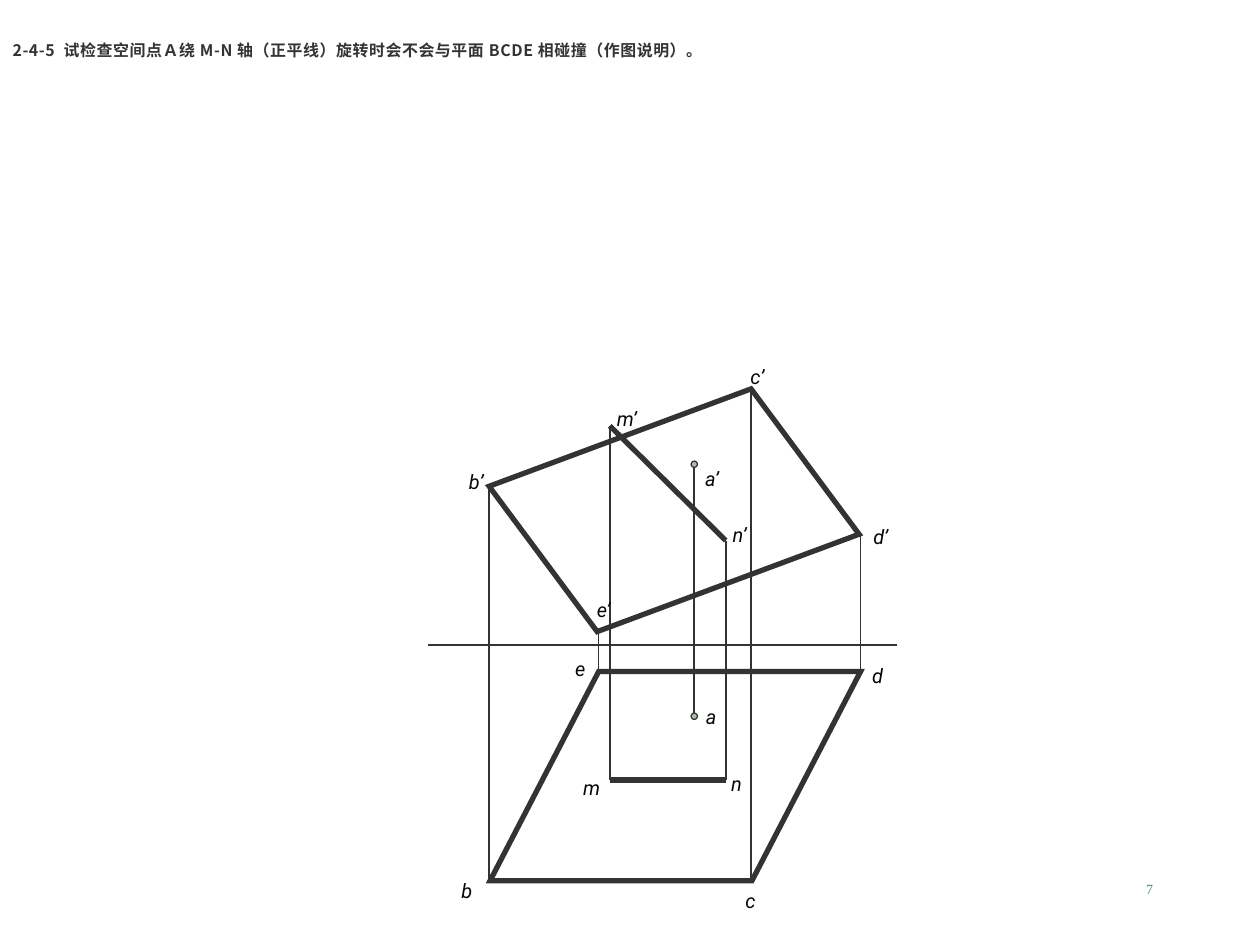
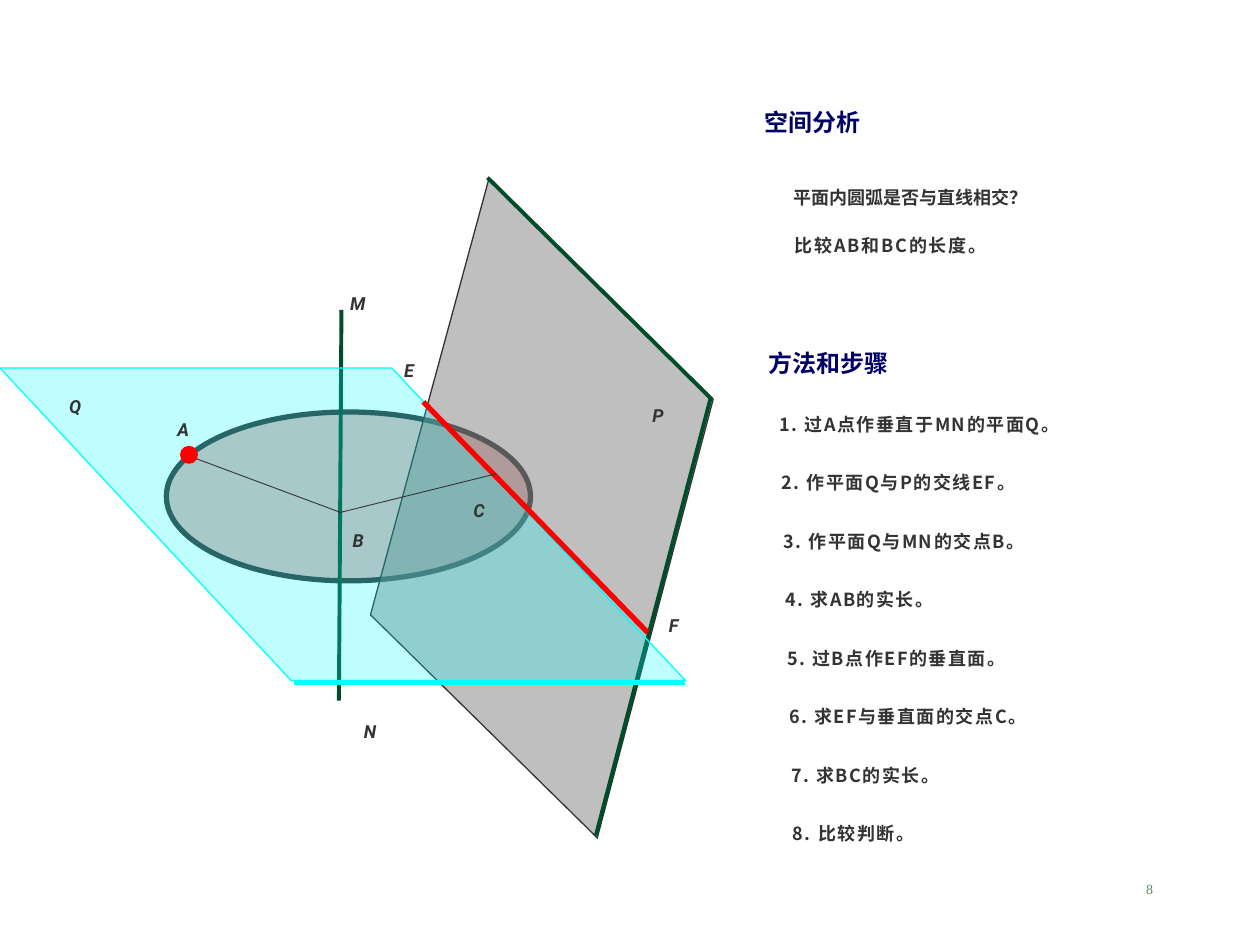
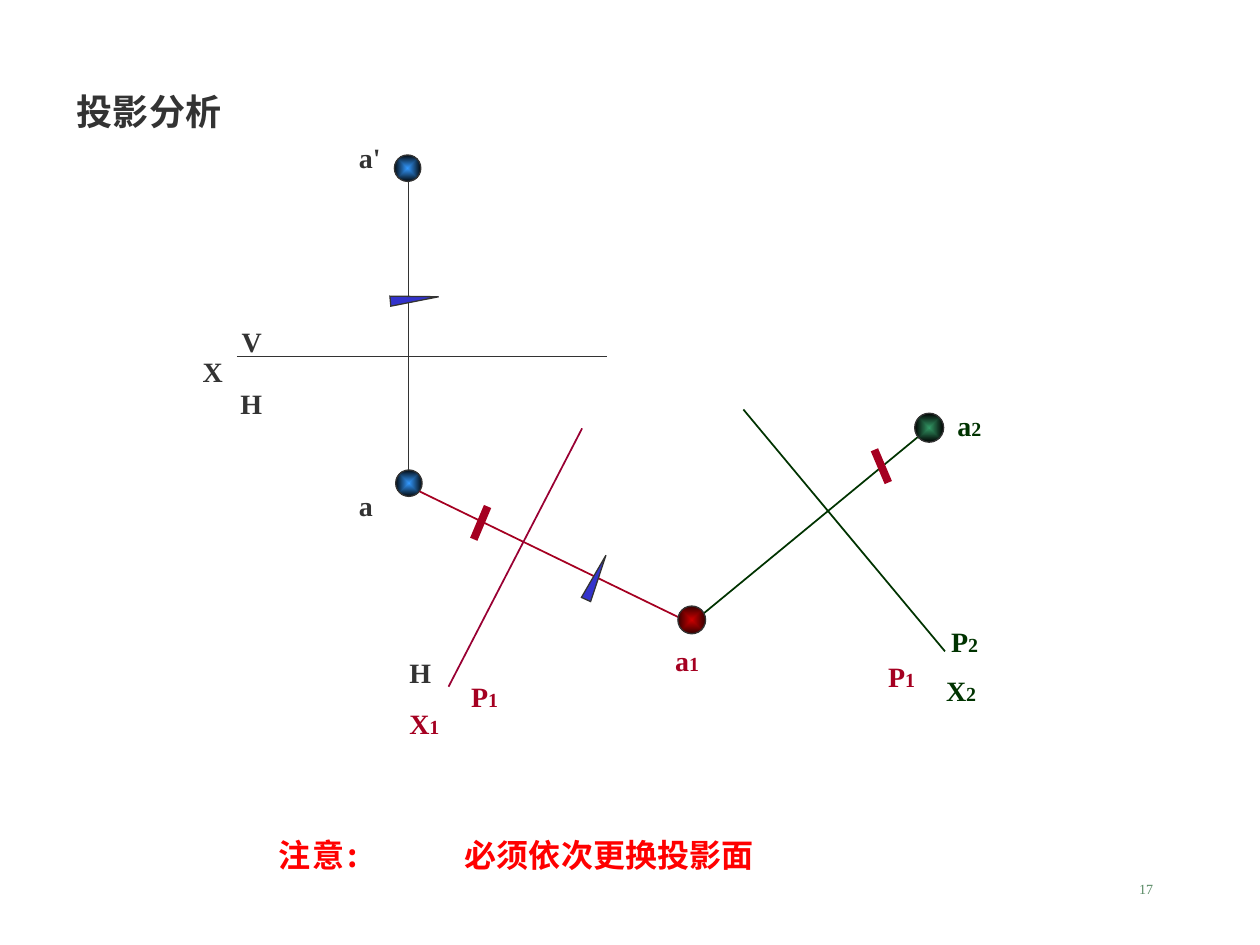
from dataclasses import dataclass
from typing import Any

from lxml import etree
from pptx import Presentation
from pptx.dml.color import RGBColor
from pptx.enum.shapes import MSO_CONNECTOR, MSO_SHAPE
from pptx.enum.text import MSO_ANCHOR, MSO_AUTO_SIZE, PP_ALIGN
from pptx.oxml.ns import qn
from pptx.util import Inches, Pt

STRAIGHT = MSO_CONNECTOR.STRAIGHT
OVAL = MSO_SHAPE.OVAL
PARALLELOGRAM = MSO_SHAPE.PARALLELOGRAM
TRIANGLE = MSO_SHAPE.ISOSCELES_TRIANGLE
MIDDLE = MSO_ANCHOR.MIDDLE
FIXED = MSO_AUTO_SIZE.NONE
LEFT, CENTER, RIGHT = PP_ALIGN.LEFT, PP_ALIGN.CENTER, PP_ALIGN.RIGHT

INK = RGBColor(0x33, 0x33, 0x33)
LABEL_BLACK = RGBColor(0x08, 0x08, 0x08)
FOOTER_GREEN = RGBColor(0x57, 0x89, 0x63)
POINT_GREEN = RGBColor(0xA9, 0xBD, 0xA9)
HEADING_NAVY = RGBColor(0x00, 0x00, 0x66)
EDGE_GREEN = RGBColor(0x00, 0x4C, 0x2B)
DISC_PINK = RGBColor(0xE1, 0xB7, 0xB7)
PLANE_GRAY = RGBColor(0x80, 0x80, 0x80)
CYAN = RGBColor(0x00, 0xFF, 0xFF)
RED = RGBColor(0xFF, 0x00, 0x00)
CRIMSON = RGBColor(0xA5, 0x00, 0x21)
AXIS_CRIMSON = RGBColor(0x99, 0x00, 0x33)
DARK_GREEN = RGBColor(0x00, 0x33, 0x00)
WEDGE_BLUE = RGBColor(0x33, 0x33, 0xCC)
BLUE_BALL = (RGBColor(0x33, 0x99, 0xFF), RGBColor(0x03, 0x0A, 0x10))
GREEN_BALL = (RGBColor(0x33, 0x99, 0x66), RGBColor(0x00, 0x00, 0x00))
RED_BALL = (RGBColor(0xCC, 0x00, 0x00), RGBColor(0x36, 0x00, 0x00))

CHINESE = "Noto Sans CJK SC"
SANS = "Roboto"
SERIF = "Times New Roman"
BODY_SIZE, HEADING_SIZE, POINT_SIZE, SUFFIX_SIZE = 10.3, 13.7, 11.4, 11.4
TEXT_DROP = 0.065

COLUMNS, ROWS = 100, 75
CELL = Inches(0.1)


@dataclass
class Region:
    """A part of a slide whose lengths are grid cells from its own corner."""

    slide: Any
    column: float = 0
    row: float = 0

    def point(self, x, y):
        """Turn a grid position into slide lengths."""
        return round((self.column + x) * CELL), round((self.row + y) * CELL)

    def frame(self, box):
        """Turn a grid box into slide lengths."""
        return (*self.point(*box[:2]), *(round(side * CELL) for side in box[2:]))


def write(region, text, box, shape=None, font=CHINESE, size=BODY_SIZE, color=INK,
          bold=True, italic=False, align=LEFT, wrap=True, suffix="", tracking=0):
    """Write formatted text, lowered in proportion to its size, in a box."""
    shape = shape or region.slide.shapes.add_textbox(0, 0, 0, 0)
    x, y, width, height = box
    shape.left, shape.top, shape.width, shape.height = region.frame(
        (x, y + TEXT_DROP * size, width, height))
    text_frame = shape.text_frame
    text_frame.word_wrap = wrap
    text_frame.vertical_anchor = MIDDLE
    text_frame.auto_size = FIXED
    paragraph = text_frame.paragraphs[0]
    paragraph.alignment = align
    for part, part_size in ((text, size), (suffix, SUFFIX_SIZE)):
        if part:
            run = paragraph.add_run()
            run.text = part
            run.font.name, run.font.size = font, Pt(part_size)
            run.font.bold, run.font.italic = bold, italic
            run.font.color.rgb = color
            run.font._element.set("spc", str(round(tracking * 100)))
            east_asian = etree.SubElement(run.font._element, qn("a:ea"))
            east_asian.set("typeface", CHINESE)


def draw_line(region, start, end, color=INK, width=1):
    """Draw a straight line between two grid positions."""
    line = region.slide.shapes.add_connector(
        STRAIGHT, *region.point(*start), *region.point(*end))
    line.line.color.rgb = color
    line.line.width = Pt(width)
    etree.SubElement(line._element.spPr, qn("a:effectLst"))


def paint(shape, fill=None, line=INK, width=0.75, opacity=100):
    """Set the fill, opacity and sharp-cornered outline of a shape."""
    shape.shadow.inherit = False
    shape.line.width = Pt(width)
    shape.line.color.rgb = line
    outline = shape._element.spPr.find(qn("a:ln"))
    etree.SubElement(outline, qn("a:miter")).set("lim", "800000")
    if fill is None:
        shape.fill.background()
        return
    shape.fill.solid()
    shape.fill.fore_color.rgb = fill
    if opacity < 100:
        color = shape._element.spPr.find(qn("a:solidFill")).find(qn("a:srgbClr"))
        etree.SubElement(color, qn("a:alpha")).set("val", str(opacity * 1000))


def draw_shape(region, kind, box, rotation=0, adjustment=None, **look):
    """Draw a preset shape in a grid box."""
    shape = region.slide.shapes.add_shape(kind, *region.frame(box))
    shape.rotation = rotation
    if adjustment is not None:
        shape.adjustments[0] = adjustment
    paint(shape, **look)
    return shape


def draw_outline(region, points, close=True, **look):
    """Draw a freeform through grid positions."""
    first, *others = [region.point(*point) for point in points]
    builder = region.slide.shapes.build_freeform(*first)
    builder.add_line_segments(others, close=close)
    paint(builder.convert_to_shape(), **look)


def draw_ball(region, box, colors):
    """Draw a circle shaded from its middle outwards."""
    ball = draw_shape(region, OVAL, box)
    ball.fill.gradient()
    for stop, color in zip(ball.fill.gradient_stops, colors):
        stop.color.rgb = color
    gradient = ball._element.spPr.find(qn("a:gradFill"))
    gradient.remove(gradient.find(qn("a:lin")))
    shade = etree.SubElement(gradient, qn("a:path"))
    shade.set("path", "shape")
    center = etree.SubElement(shade, qn("a:fillToRect"))
    for side in "ltrb":
        center.set(side, "50000")


def add_slide(presentation, number, layout):
    """Add a slide with its page number."""
    slide = presentation.slides.add_slide(presentation.slide_layouts.get_by_name(layout))
    write(Region(slide), str(number), (71.7, 67.5, 20.8, 5), font=SERIF, size=8,
          color=FOOTER_GREEN, bold=False, align=RIGHT)
    return slide


def draw_two_views(region):
    """Draw the front and top views with their projection lines."""
    front = {"m": (8.4, 3.8), "n": (17.6, 12.9), "b": (-1.2, 8.6), "d": (28.3, 12.4),
             "e": (7.5, 20.2), "c": (19.6, 0.8), "a": (15.1, 6.8)}
    top = {"m": 31.9, "n": 31.9, "b": 39.9, "d": 23.4, "e": 23.3, "c": 39.9, "a": 26.9}
    labels = [("b’", -4.2, 5.3, 4), ("c’", 18.2, -3, 3.8), ("d’", 27.9, 9.7, 4),
              ("e’", 5.9, 15.5, 4), ("a’", 14.5, 5.1, 4), ("m’", 7.6, 0.3, 4.3),
              ("n’", 16.7, 9.5, 4), ("b", -4.6, 37.8, 3.3), ("d", 28, 20.7, 3.3),
              ("e", 4.4, 20.2, 3.3), ("a", 14.8, 24, 3.3), ("m", 5.1, 29.6, 3.7),
              ("n", 16.8, 29.3, 3.3), ("c", 18, 38.6, 3.1)]
    draw_line(region, (-6, 21.2), (31.2, 21.2), width=0.75)
    draw_shape(region, PARALLELOGRAM, (-1.1, 23.3, 29.4, 16.6), adjustment=0.519, width=3)
    tilted = draw_shape(region, PARALLELOGRAM, (0.4, 3.6, 26.2, 13.8), rotation=339.6,
                        adjustment=0.291, width=3)
    tilted._element.spPr.find(qn("a:xfrm")).set("flipH", "1")
    draw_line(region, front["m"], front["n"], width=3)
    for name, (x, y) in front.items():
        draw_line(region, (x, y), (x, top[name]))
    for y in (26.6, 6.6):
        draw_shape(region, OVAL, (14.85, y, 0.5, 0.5), fill=POINT_GREEN)
    draw_line(region, (8.4, 31.9), (17.6, 31.9), width=3)
    for text, x, y, width in labels:
        write(region, text, (x, y, width, 4.3), font=SANS, size=POINT_SIZE,
              color=LABEL_BLACK, bold=False, italic=True, align=CENTER, wrap=False)


def draw_space_model(region):
    """Draw the turning circle, its axis and the planes P and Q."""
    draw_shape(region, OVAL, (13.2, 18.7, 28.9, 13.4), fill=DISC_PINK, width=3)
    draw_line(region, (26.9, 41.6), (27.1, 10.6), EDGE_GREEN, 2.25)
    draw_outline(region, [(47.4, 52.5), (29.4, 34.8), (38.8, 0.2), (56.6, 17.7)],
                 fill=PLANE_GRAY, opacity=50)
    draw_outline(region, [(47.3, 52.3), (56.4, 17.6), (38.7, 0.1)], close=False,
                 line=EDGE_GREEN, width=2.25)
    draw_outline(region, [(0, 15.2), (31.1, 15.2), (54.4, 40), (23.1, 40)],
                 fill=CYAN, opacity=25, line=CYAN)
    draw_line(region, (23.3, 40.2), (54.4, 40.2), CYAN, 2.25)
    draw_line(region, (15.3, 22.3), (27.1, 26.7), width=0.5)
    draw_shape(region, OVAL, (14.5, 21.6, 1, 1), fill=RED, line=RED, width=3)
    draw_line(region, (33.6, 17.9), (51.4, 36.2), RED, 3)
    draw_line(region, (26.9, 26.7), (39.4, 23.6), width=0.5)
    labels = [("P", 50.8, 16.3), ("M", 26.8, 7.4), ("N", 27.9, 41.4), ("A", 13.1, 17.4),
              ("B", 27, 26.2), ("E", 31.1, 12.7), ("F", 52.1, 33), ("C", 36.6, 23.8),
              ("Q", 4.5, 15.6)]
    for text, x, y in labels:
        write(region, text, (x, y, 4.4, 4), font=SANS, italic=True)


def write_analysis(region):
    """Write the analysis and the evenly spaced steps."""
    headings = [("空间分析", -0.3, 0.3), ("方法和步骤", 0, 19.4)]
    for text, x, y in headings:
        write(region, text, (x, y, 26.2, 5), size=HEADING_SIZE, color=HEADING_NAVY)
    write(region, "平面内圆弧是否与直线相交？", (2, 7, 35.6, 4))
    write(region, "比较AB和BC的长度。", (2.1, 10.8, 35.6, 4), tracking=1)
    steps = ["过A点作垂直于MN的平面Q。", "作平面Q与P的交线EF。", "作平面Q与MN的交点B。",
             "求AB的实长。", "过B点作EF的垂直面。", "求EF与垂直面的交点C。",
             "求BC的实长。", "比较判断。"]
    for index, step in enumerate(steps):
        write(region, f"{index + 1}. {step}",
              (0.9 + 0.15 * index, 25 + 4.64 * index, 36, 4), tracking=0.85)


def draw_plane_changes(region):
    """Draw the projections of a point through two plane changes."""
    draw_line(region, (3.8, 18.3), (33.2, 18.3))
    draw_line(region, (17.4, 3.1), (17.4, 27.7), width=0.75)
    draw_ball(region, (16.3, 2.3, 2.1, 2.1), BLUE_BALL)
    draw_ball(region, (16.4, 27.3, 2.1, 2.1), BLUE_BALL)
    draw_line(region, (18.3, 29), (39.7, 39.4), CRIMSON)
    draw_line(region, (31.2, 24), (20.6, 44.5), AXIS_CRIMSON)
    draw_line(region, (44, 22.5), (60, 41.7), DARK_GREEN)
    draw_line(region, (40.1, 39.3), (58.8, 23.9), DARK_GREEN)
    draw_ball(region, (57.6, 22.8, 2.3, 2.3), GREEN_BALL)
    draw_ball(region, (38.8, 38.1, 2.2, 2.2), RED_BALL)
    labels = [("X", "", 0.1, 15.6, INK), ("V", "", 3.2, 13.2, INK),
              ("H", "", 3.1, 18.1, INK), ("a'", "", 12.5, -1.4, INK),
              ("a", "", 12.5, 26.2, INK), ("X", "1", 16.5, 43.5, CRIMSON),
              ("X", "2", 59.1, 40.9, DARK_GREEN), ("H", "", 16.5, 39.5, INK),
              ("P", "1", 21.4, 41.4, CRIMSON), ("P", "1", 54.5, 39.8, CRIMSON),
              ("P", "2", 59.5, 37, DARK_GREEN), ("a", "1", 37.6, 38.5, CRIMSON),
              ("a", "2", 60, 19.9, DARK_GREEN)]
    for text, suffix, x, y, color in labels:
        write(region, text, (x, y, 6.2, 5.7), font=SERIF, size=16, color=color,
              suffix=suffix)
    for x, y, rotation in ((31.9, 33.9, 24.3), (17.5, 11.8, 84.8)):
        draw_shape(region, TRIANGLE, (x, y, 0.8, 3.85), rotation=rotation, fill=WEDGE_BLUE)
    draw_line(region, (54.4, 25.7), (55.5, 28.3), CRIMSON, 4.5)
    draw_line(region, (23.7, 30.2), (22.6, 32.8), CRIMSON, 4.5)


def write_notice(region):
    """Write the red warning under the drawing."""
    write(region, "注意:", (0, 0, 13.1, 6.3), size=18.3, color=RED, tracking=1.5)
    write(region, "必须依次更换投影面", (14.8, 0, 47.4, 6.3), font=SERIF, size=18.3,
          color=RED)


def main():
    """Build the three slides and save them."""
    presentation = Presentation()
    presentation.slide_width, presentation.slide_height = COLUMNS * CELL, ROWS * CELL

    slide = add_slide(presentation, 7, "Title Only")
    draw_two_views(Region(slide, 40, 30))
    write(Region(slide),
          "2-4-5  试检查空间点Ａ绕 M-N 轴（正平线）旋转时会不会与平面 BCDE 相碰撞（作图说明）。",
          (0, 1.5, COLUMNS, 3.7), shape=slide.shapes.title, size=9.1, tracking=0.3)

    slide = add_slide(presentation, 8, "Blank")
    draw_space_model(Region(slide, 0, 14))
    write_analysis(Region(slide, 60, 6))

    slide = add_slide(presentation, 17, "Title Only")
    write(Region(slide), "投影分析", (5.1, 4, 34.4, 7), shape=slide.shapes.title,
          font=SERIF, size=20.6)
    draw_plane_changes(Region(slide, 15, 10))
    write_notice(Region(slide, 21.1, 63.5))

    presentation.save("out.pptx")


if __name__ == "__main__":
    main()
